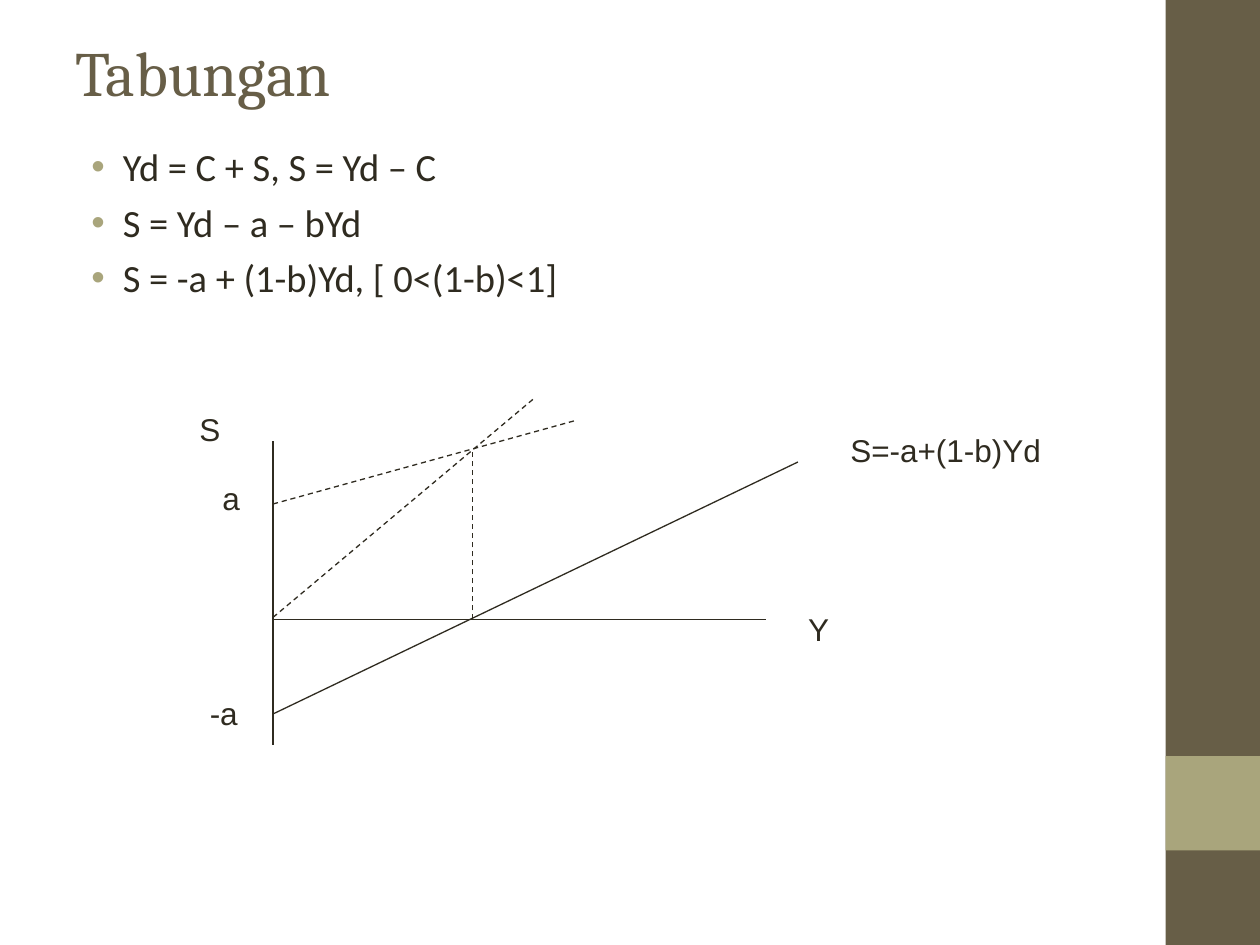
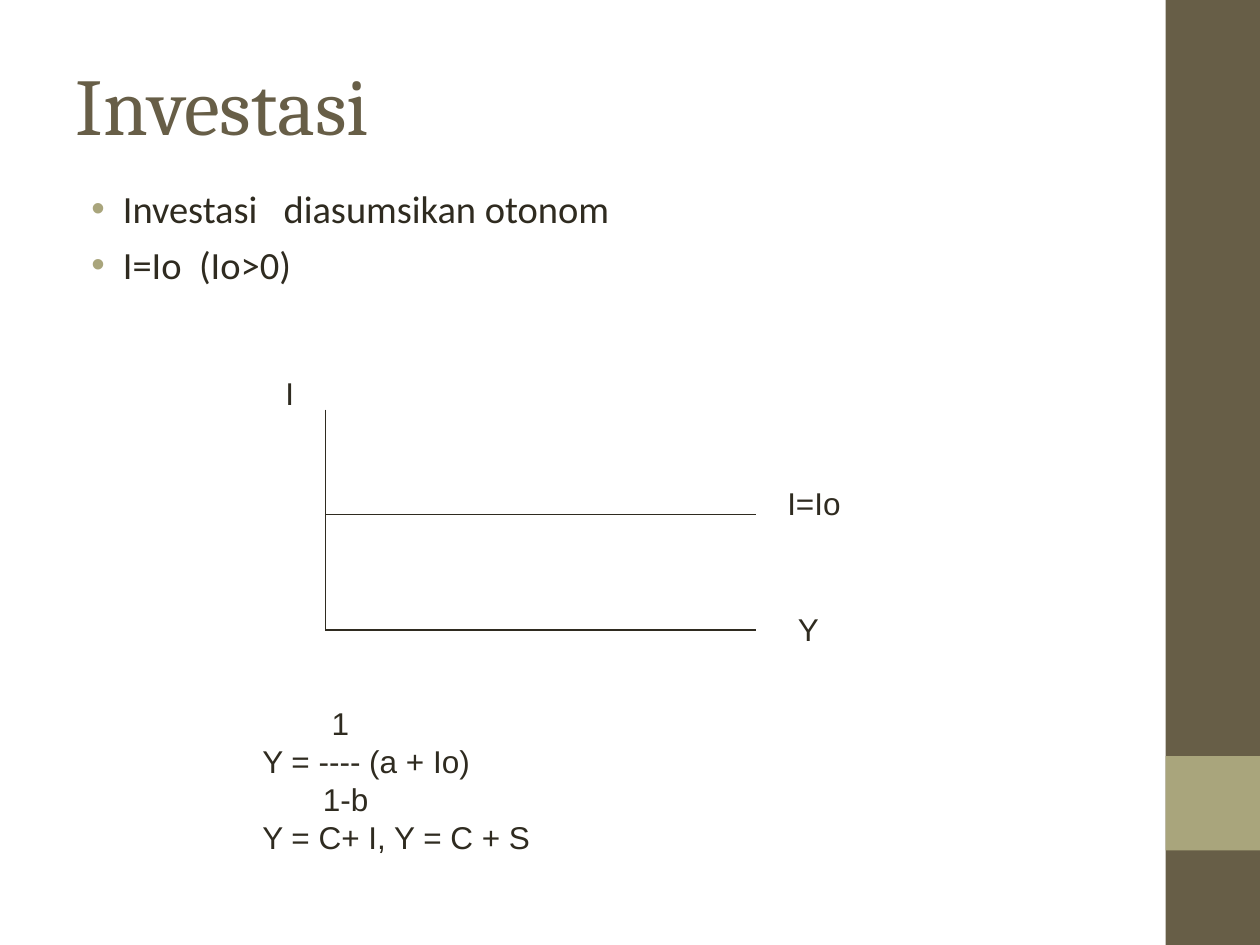
import lxml.etree
import pptx
import pptx.dml.color
import pptx.enum.dml
import pptx.enum.shapes
import pptx.enum.text
import pptx.oxml.ns
import pptx.util

COLUMNS, ROWS = 120, 90
CELL = pptx.util.Inches(10) // COLUMNS
COLORS = {"band": "675E47", "accent": "A9A57C", "ink": "2F2B20"}
FONTS = {"title": "Cambria", "body": "Calibri", "label": "Arial"}
LEFT, CONTENT_WIDTH, TITLE_TOP, BODY_BOTTOM = 6, 108, 3.6, 80.4
BAND_LEFT, BAND_WIDTH, ACCENT_TOP = 111, 9, 72
LABEL_SIZE, LABEL_LINE = 18, 3.6


def grid(*cells):
    return [round(cell * CELL) for cell in cells]


def rgb(name):
    return pptx.dml.color.RGBColor.from_string(COLORS[name])


def child(parent, tag, **attributes):
    name = pptx.oxml.ns.qn(tag)
    return lxml.etree.SubElement(parent, name, attributes)


def format_font(font, name, size, color):
    font.name = FONTS[name]
    font.size = pptx.util.Pt(size)
    font.color.rgb = rgb(color)


def place(shape, left, top, width, height):
    shape.left, shape.top, shape.width, shape.height = grid(left, top, width, height)


def add_band(slide, top, height, color):
    shape = slide.shapes.add_shape(
        pptx.enum.shapes.MSO_SHAPE.RECTANGLE, *grid(BAND_LEFT, top, BAND_WIDTH, height))
    shape.shadow.inherit = False
    shape.fill.solid()
    shape.fill.fore_color.rgb = rgb(color)
    shape.line.fill.background()


def set_title(slide, text, size, height):
    title = slide.shapes.title
    place(title, LEFT, TITLE_TOP, CONTENT_WIDTH, height)
    frame = title.text_frame
    frame.text = text
    frame.auto_size = pptx.enum.text.MSO_AUTO_SIZE.NONE
    frame.vertical_anchor = pptx.enum.text.MSO_ANCHOR.MIDDLE
    paragraph = frame.paragraphs[0]
    paragraph.alignment = pptx.enum.text.PP_ALIGN.LEFT
    format_font(paragraph.runs[0].font, "title", size, "band")


def add_bullet(paragraph):
    properties = paragraph._p.get_or_add_pPr()
    properties.set("marL", str(pptx.util.Inches(0.375)))
    properties.set("indent", str(-pptx.util.Inches(0.25)))
    child(child(properties, "a:buClr"), "a:srgbClr", val=COLORS["accent"])
    child(properties, "a:buFont", typeface=FONTS["label"])
    child(properties, "a:buChar", char="•")


def add_piece(paragraph, text, gap=0):
    run = paragraph.add_run()
    run.text = text
    format_font(run.font, "body", 22, "ink")
    if gap:
        run._r.get_or_add_rPr().set("spc", str(gap * 100))


def set_bullets(slide, top, lines):
    body = slide.placeholders[1]
    place(body, LEFT, top, CONTENT_WIDTH, BODY_BOTTOM - top)
    frame = body.text_frame
    frame.auto_size = pptx.enum.text.MSO_AUTO_SIZE.NONE
    for index, (start, gap, end) in enumerate(lines):
        paragraph = frame.add_paragraph() if index else frame.paragraphs[0]
        add_bullet(paragraph)
        paragraph.space_before = pptx.util.Pt(5.5 if index else 0)
        add_piece(paragraph, start)
        if end:
            add_piece(paragraph, " ", gap)
            add_piece(paragraph, end)


def add_line(slide, start, end, dashed=False):
    connector = slide.shapes.add_connector(
        pptx.enum.shapes.MSO_CONNECTOR.STRAIGHT, *grid(*start, *end))
    connector.line.color.rgb = rgb("ink")
    connector.line.width = pptx.util.Pt(0.75)
    if dashed:
        connector.line.dash_style = pptx.enum.dml.MSO_LINE.DASH
    child(connector._element.spPr, "a:effectLst")


def add_label(slide, left, top, width, *lines):
    height = LABEL_LINE * len(lines) + 1.2
    frame = slide.shapes.add_textbox(*grid(left, top, width, height)).text_frame
    frame.word_wrap = True
    frame.auto_size = pptx.enum.text.MSO_AUTO_SIZE.NONE
    frame.text = "\n".join(lines)
    for paragraph in frame.paragraphs:
        format_font(paragraph.runs[0].font, "label", LABEL_SIZE, "ink")
    return frame


def add_slide(presentation, title, title_size, title_height, body_top, bullets):
    slide = presentation.slides.add_slide(presentation.slide_layouts[1])
    add_band(slide, 0, ROWS, "band")
    add_band(slide, ACCENT_TOP, BAND_WIDTH, "accent")
    set_title(slide, title, title_size, title_height)
    set_bullets(slide, body_top, bullets)
    return slide


def draw_saving_graph(slide):
    axis, income_row, break_even = 26, 59, 45
    add_line(slide, (axis, 42), (axis, 71))
    add_line(slide, (axis, income_row), (73, income_row))
    add_line(slide, (axis, 68), (76, 44))
    add_line(slide, (break_even, income_row), (break_even, 43), dashed=True)
    add_line(slide, (axis, 58.8), (50.8, 38), dashed=True)
    add_line(slide, (axis, 48), (55, 40), dashed=True)
    add_label(slide, 17.8, 38.5, 4.8, "S")
    add_label(slide, 75.8, 57.5, 4.8, "Y")
    add_label(slide, 79.8, 40.5, 21.5, "S=-a+(1-b)Yd")
    add_label(slide, 18.8, 65.5, 5.6, "-a")
    add_label(slide, 20, 45, 4.6, "a")


def draw_investment_graph(slide):
    axis, income_row, right = 31, 60, 72
    add_line(slide, (axis, 39), (axis, income_row))
    for row in (income_row, 49):
        add_line(slide, (axis, row), (right, row))
    add_label(slide, 26, 35, 3.8, "I")
    add_label(slide, 74.8, 57.5, 4.8, "Y")
    add_label(slide, 73.8, 45.5, 8.2, "I=Io")


def add_equilibrium(slide):
    frame = add_label(slide, 23.8, 66.5, 33,
                      "1", "Y = ---- (a + Io)", "1-b", "Y = C+ I, Y = C + S")
    for index, indent in ((0, 0.55), (2, 0.48)):
        properties = frame.paragraphs[index]._p.get_or_add_pPr()
        properties.set("marL", str(pptx.util.Inches(indent)))


def main():
    presentation = pptx.Presentation()
    presentation.slide_width, presentation.slide_height = grid(COLUMNS, ROWS)
    saving = add_slide(presentation, "Tabungan", 36, 6.4, 13, [
        ("Yd = C + S, S = Yd – C", 0, ""),
        ("S = Yd – a – bYd", 0, ""),
        ("S = -a + (1-b)Yd, [ 0<(1-b)<1]", 0, ""),
    ])
    draw_saving_graph(saving)
    investment = add_slide(presentation, "Investasi", 46, 12.4, 17, [
        ("Investasi", 10, "diasumsikan otonom"),
        ("I=Io", 5, "(Io>0)"),
    ])
    draw_investment_graph(investment)
    add_equilibrium(investment)
    presentation.save("out.pptx")


if __name__ == "__main__":
    main()
